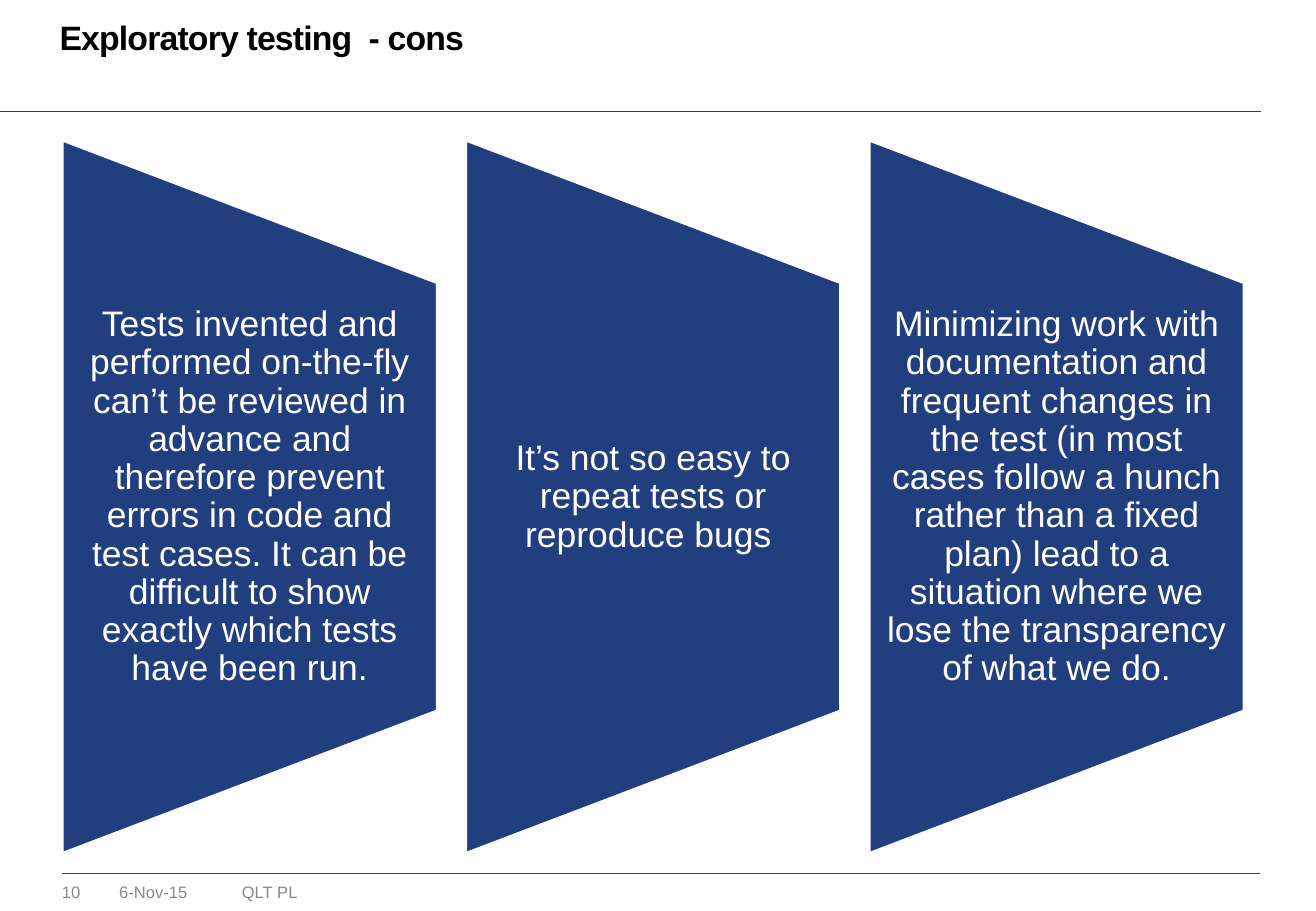
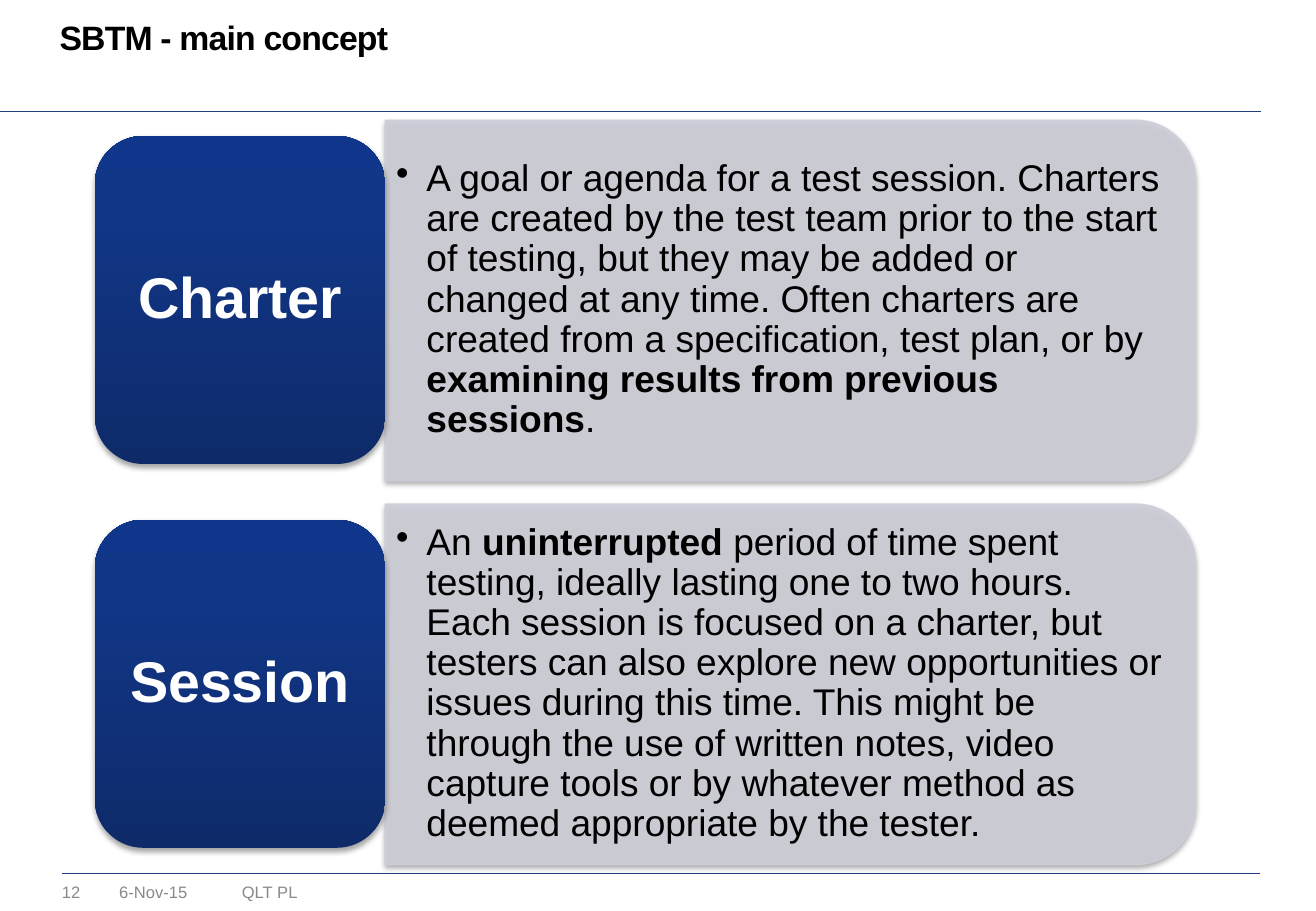
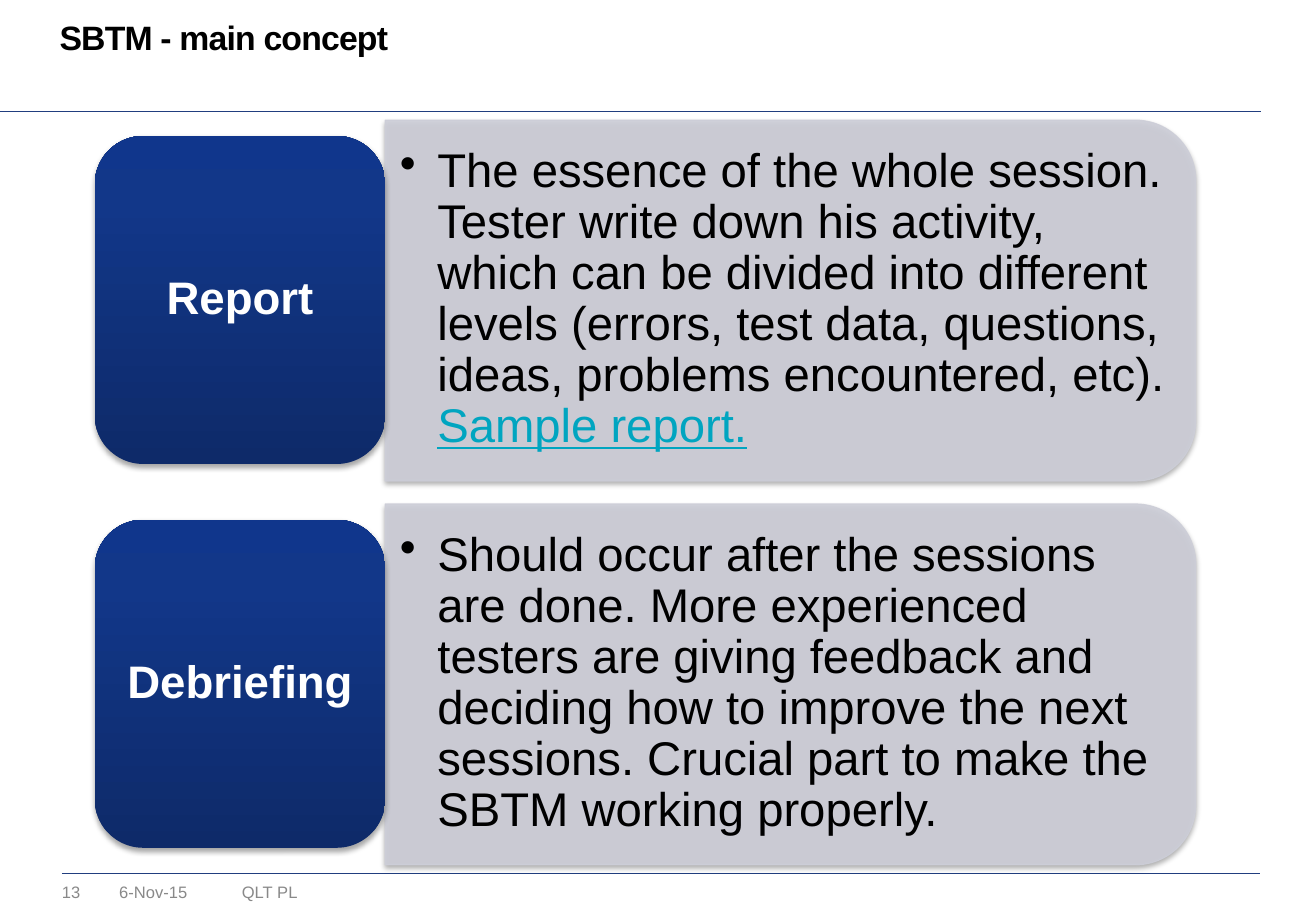
"""Build three slides on exploratory testing and session-based test management."""
from dataclasses import dataclass
from typing import Optional

from pptx import Presentation
from pptx.dml.color import RGBColor
from pptx.enum.shapes import MSO_CONNECTOR, MSO_SHAPE
from pptx.enum.text import MSO_ANCHOR, PP_ALIGN
from pptx.oxml import parse_xml
from pptx.oxml.ns import nsdecls, qn
from pptx.oxml.xmlchemy import OxmlElement
from pptx.shapes.autoshape import Shape
from pptx.slide import Slide
from pptx.text.text import TextFrame
from pptx.util import Emu, Pt

SCALE = 9144
WIDE, HIGH = 1083, 750
FONT = "Arial"
BLACK, WHITE, GREY = "000000", "FFFFFF", "898989"
NAVY, SILVER, TEAL = "213E7F", "CDCED8", "00A5C0"
BLEND = ((0, "0E2A69"), (80, "123789"), (100, "10368C"))


@dataclass(frozen=True)
class Box:
    left: int
    top: int
    width: int
    height: int

    def move(self, right: int = 0, down: int = 0) -> "Box":
        return Box(self.left + right, self.top + down, self.width, self.height)


@dataclass(frozen=True)
class Bit:
    text: str
    bold: bool = False
    link: bool = False


@dataclass(frozen=True)
class Style:
    size: float
    color: str = BLACK
    bold: bool = False
    align: Optional[PP_ALIGN] = None
    anchor: MSO_ANCHOR = MSO_ANCHOR.TOP
    space: Optional[float] = None
    side: int = 0
    edge: int = 0
    wrap: bool = True


@dataclass(frozen=True)
class Card:
    name: str
    body: tuple[Bit, ...]


@dataclass(frozen=True)
class Page:
    title: str
    number: str


@dataclass(frozen=True)
class Concept:
    page: Page
    tag: int
    body: int
    cards: tuple[Card, ...]


TITLE = Style(20, bold=True, space=Pt(21.7))
FOOT = Style(9.8, GREY)
CLAIM = Style(21, WHITE, align=PP_ALIGN.CENTER, anchor=MSO_ANCHOR.MIDDLE,
              space=0.9, side=15)
RULES = ((51, 1037, 719), (-1, 1038, 92))
FLAG, FLAG_TEXT, FLAG_STEP = Box(51, 115, 309, 588), Box(51, 233, 309, 353), 332
PANEL, PANEL_TEXT = Box(317, 99, 667, 297), Box(317, 113, 653, 268)
TAG, CARD_STEP = Box(78, 112, 239, 270), 316

CONS = (
    "Tests invented and performed on-the-fly can’t be reviewed in advance and "
    "therefore prevent errors in code and test cases. It can be difficult to "
    "show exactly which tests have been run.",
    "It’s not so easy to repeat tests or reproduce bugs ",
    "Minimizing work with documentation and frequent changes in the test (in "
    "most cases follow a hunch rather than a fixed plan) lead to a situation "
    "where we lose the transparency of what we do.",
)
CONCEPTS = (
    Concept(Page("SBTM - main concept", "12"), 34, 22, (
        Card("Charter", (
            Bit("A goal or agenda for a test session. Charters are created by the "
                "test team prior to the start of testing, but they may be added or "
                "changed at any time. Often charters are created from "
                "a specification, test plan, or by "),
            Bit("examining results from previous sessions", bold=True),
            Bit("."),
        )),
        Card("Session", (
            Bit("An "),
            Bit("uninterrupted", bold=True),
            Bit(" period of time spent testing, ideally lasting one to two hours. "
                "Each session is focused on a charter, but testers can also explore "
                "new opportunities or issues during this time. This might be through "
                "the use of written notes, video capture tools or by whatever method "
                "as deemed appropriate by the tester."),
        )),
    )),
    Concept(Page("SBTM - main concept", "13"), 27, 28, (
        Card("Report", (
            Bit("The essence of the whole session. Tester write down his activity, "
                "which can be divided into different levels (errors, test data, "
                "questions, ideas, problems encountered, etc). "),
            Bit("Sample report.", link=True),
        )),
        Card("Debriefing ", (
            Bit("Should occur after the sessions are done. More experienced testers "
                "are giving feedback and deciding how to improve the next sessions. "
                "Crucial part to make the SBTM working properly."),
        )),
    )),
)


def px(value: float) -> Emu:
    return Emu(round(value * SCALE))


def rgb(code: str) -> RGBColor:
    return RGBColor.from_string(code)


def write(frame: TextFrame, bits: tuple[Bit, ...], style: Style) -> None:
    frame.word_wrap = style.wrap
    frame.vertical_anchor = style.anchor
    frame.margin_left = frame.margin_right = px(style.side)
    frame.margin_top = frame.margin_bottom = px(style.edge)
    frame.text = bits[0].text
    para = frame.paragraphs[0]
    for bit in bits[1:]:
        para.add_run().text = bit.text
    para.alignment = style.align
    para.line_spacing = style.space
    for run, bit in zip(para.runs, bits):
        font = run.font
        font.name, font.size = FONT, Pt(style.size)
        font.bold = style.bold or bit.bold
        font.underline = bit.link
        font.color.rgb = rgb(TEAL if bit.link else style.color)


def label(slide: Slide, box: Box, bits: tuple[Bit, ...], style: Style) -> TextFrame:
    frame = slide.shapes.add_textbox(
        px(box.left), px(box.top), px(box.width), px(box.height)).text_frame
    write(frame, bits, style)
    return frame


def block(slide: Slide, kind: MSO_SHAPE, box: Box, color: str, turn: int = 0) -> Shape:
    width, height = (box.height, box.width) if turn else (box.width, box.height)
    left = box.left + (box.width - width) / 2
    top = box.top + (box.height - height) / 2
    shape = slide.shapes.add_shape(kind, px(left), px(top), px(width), px(height))
    shape.rotation = turn
    shape.shadow.inherit = False
    shape.fill.solid()
    shape.fill.fore_color.rgb = rgb(color)
    return shape


def border(shape: Shape, color: str, width: float) -> None:
    shape.line.color.rgb = rgb(color)
    shape.line.width = Pt(width)


def shade(shape: Shape) -> None:
    effect = shape.element.spPr.find(qn("a:effectLst"))
    effect.append(parse_xml(
        f'<a:outerShdw {nsdecls("a")} blurRad="{Pt(3.1)}" dist="{Pt(1.8)}" '
        f'dir="5400000" rotWithShape="0"><a:srgbClr val="{BLACK}">'
        '<a:alpha val="35000"/></a:srgbClr></a:outerShdw>'))


def fade(shape: Shape) -> None:
    for color in shape.element.spPr.findall(f'.//{qn("a:solidFill")}/{qn("a:srgbClr")}'):
        alpha = OxmlElement("a:alpha")
        alpha.set("val", "90000")
        color.append(alpha)


def blend(shape: Shape) -> None:
    stops = "".join(f'<a:gs pos="{spot * 1000}"><a:srgbClr val="{color}"/></a:gs>'
                    for spot, color in BLEND)
    props = shape.element.spPr
    props.replace(props.find(qn("a:solidFill")), parse_xml(
        f'<a:gradFill {nsdecls("a")} rotWithShape="1"><a:gsLst>{stops}</a:gsLst>'
        '<a:lin ang="16200000" scaled="0"/></a:gradFill>'))


def bullet(frame: TextFrame, indent: int) -> None:
    props = frame.paragraphs[0]._p.get_or_add_pPr()
    props.set("marL", str(px(indent)))
    props.set("indent", str(px(-indent)))
    mark = OxmlElement("a:buChar")
    mark.set("char", "•")
    props.append(mark)


def rule(slide: Slide, start: int, end: int, top: int) -> None:
    line = slide.shapes.add_connector(
        MSO_CONNECTOR.STRAIGHT, px(start), px(top), px(end), px(top))
    line.line.color.rgb = rgb(NAVY)
    line.line.width = Pt(0.25)
    line.element.spPr.append(OxmlElement("a:effectLst"))


def start(deck: Presentation, page: Page) -> Slide:
    slide = deck.slides.add_slide(deck.slide_layouts[6])
    for ends in RULES:
        rule(slide, *ends)
    label(slide, Box(199, 726, 141, 17), (Bit("QLT PL"),), FOOT)
    label(slide, Box(51, 726, 39, 16), (Bit(page.number),), Style(9.8, GREY, wrap=False))
    label(slide, Box(98, 726, 89, 16), (Bit("6-Nov-15"),), FOOT)
    title = label(slide, Box(49, 17, 993, 31), (Bit(page.title),), TITLE)
    title.paragraphs[0].runs[0]._r.get_or_add_rPr().set("spc", "-50")
    return slide


def flags(slide: Slide) -> None:
    for step, text in enumerate(CONS):
        right = step * FLAG_STEP
        flag = block(slide, MSO_SHAPE.FLOWCHART_MANUAL_OPERATION,
                     FLAG.move(right), NAVY, 270)
        border(flag, WHITE, 2)
        label(slide, FLAG_TEXT.move(right), (Bit(text),), CLAIM)


def middle(size: int, color: str, bold: bool, align: PP_ALIGN) -> Style:
    return Style(size, color, bold, align, MSO_ANCHOR.MIDDLE, 0.9,
                 round(size * 0.42), round(size * 0.21))


def cards(slide: Slide, concept: Concept) -> None:
    body = middle(concept.body, BLACK, False, PP_ALIGN.LEFT)
    head = middle(concept.tag, WHITE, True, PP_ALIGN.CENTER)
    for step, card in enumerate(concept.cards):
        down = step * CARD_STEP
        panel = block(slide, MSO_SHAPE.ROUND_2_SAME_RECTANGLE,
                      PANEL.move(down=down), SILVER, 90)
        border(panel, SILVER, 0.75)
        fade(panel)
        shade(panel)
        frame = label(slide, PANEL_TEXT.move(down=down), card.body, body)
        bullet(frame, round(concept.body * 1.12))
        tag = block(slide, MSO_SHAPE.ROUNDED_RECTANGLE, TAG.move(down=down), NAVY)
        tag.line.fill.background()
        blend(tag)
        shade(tag)
        write(tag.text_frame, (Bit(card.name),), head)


def main() -> None:
    deck = Presentation()
    deck.slide_width, deck.slide_height = px(WIDE), px(HIGH)
    flags(start(deck, Page("Exploratory testing  - cons", "10")))
    for concept in CONCEPTS:
        cards(start(deck, concept.page), concept)
    deck.save("out.pptx")


if __name__ == "__main__":
    main()
